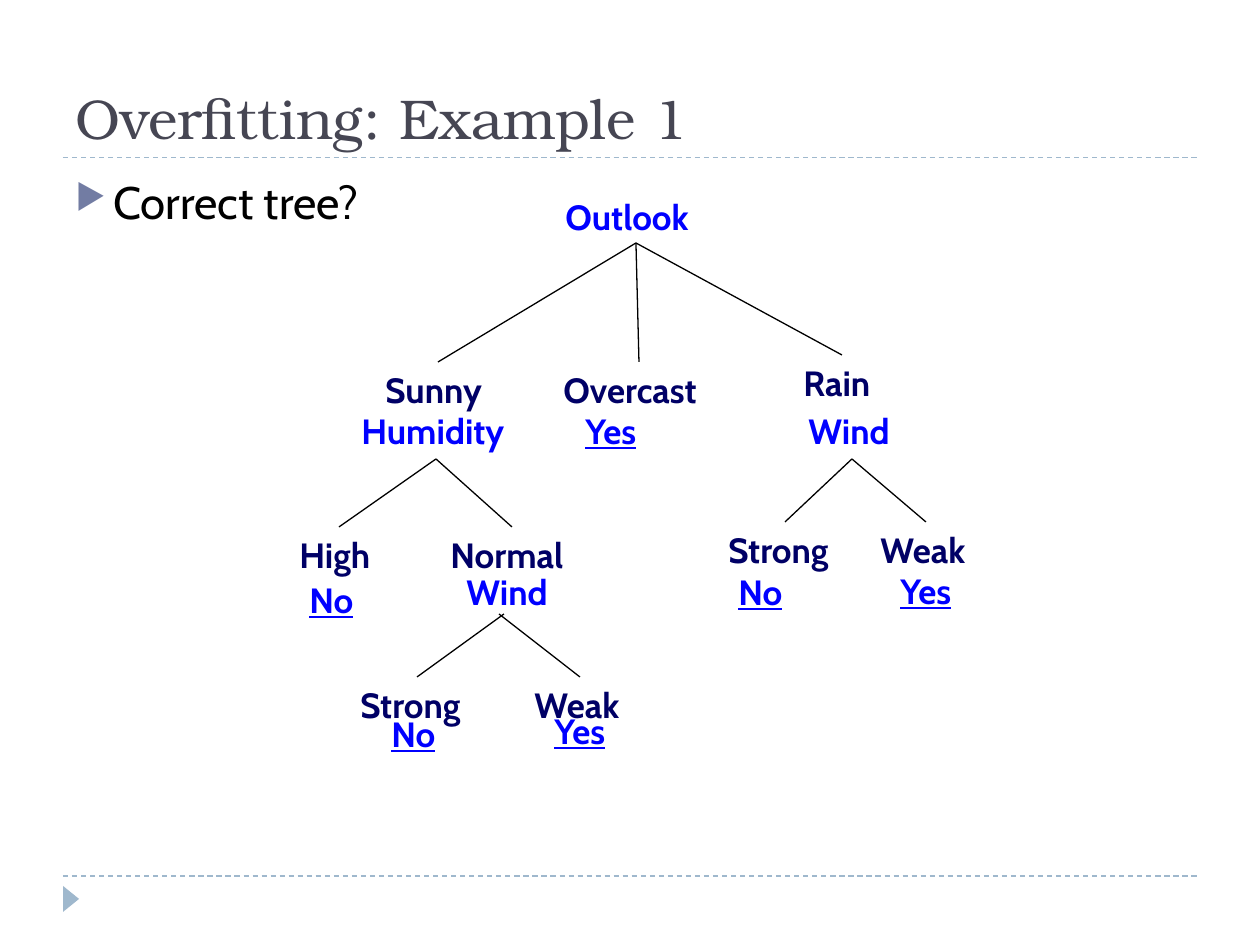
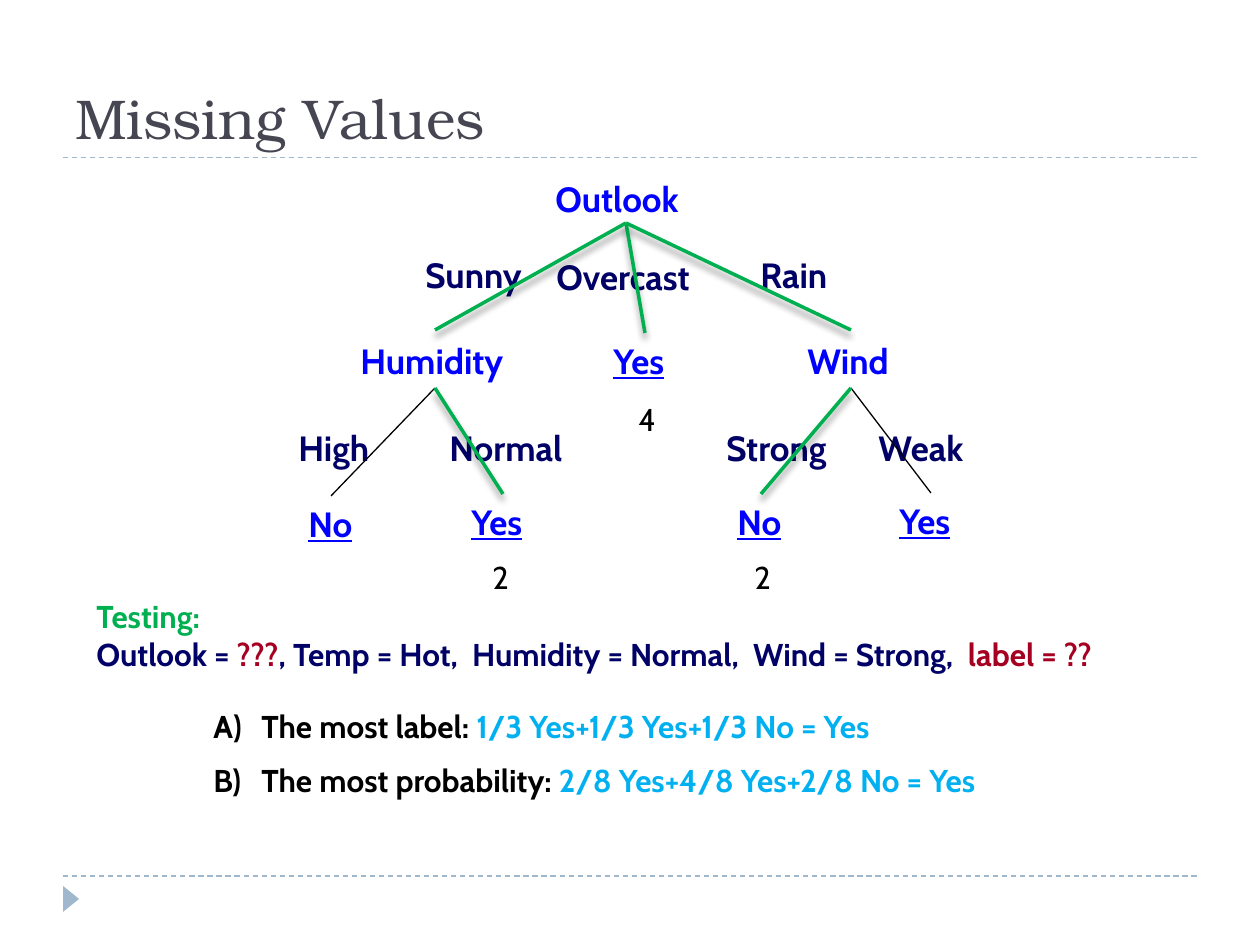
from lxml.etree import SubElement
from pptx import Presentation
from pptx.dml.color import RGBColor
from pptx.enum.dml import MSO_LINE
from pptx.enum.shapes import MSO_CONNECTOR, MSO_SHAPE
from pptx.enum.text import MSO_ANCHOR, MSO_AUTO_SIZE
from pptx.oxml.ns import qn
from pptx.util import Emu, Inches, Pt

PX = Inches(1) // 126
COLORS = {
    "title": "464653", "band": "9FB8CD", "bullet": "727CA3", "text": "000000",
    "node": "0000FF", "branch": "000066", "path": "00B050",
    "unknown": "A50021", "result": "00B0F0",
}
TITLE_FONT, BODY_FONT = "TeX Gyre Bonum", "Cabin"

# Box width of each word in a tree; the dict also gives the word's role.
QUESTIONS = {"Outlook ": 168, "Humidity": 175, "Wind": 111}
ANSWERS = {"Yes": 88, "No": 72}
BRANCHES = {"Overcast": 175, "Rain": 101, "Sunny": 132, "Normal": 146,
            "High": 103, "Weak": 117, "Strong": 139}
WIDTHS = {**QUESTIONS, **ANSWERS, **BRANCHES}

CORRECT_TREE = [
    ("Outlook ", 553, 189),
    ("Sunny", 373, 362), ("Overcast", 551, 362), ("Rain", 791, 355),
    ("Humidity", 349, 403), ("Yes", 573, 403), ("Wind", 796, 403),
    ("High", 287, 527), ("Normal", 438, 527),
    ("Strong", 716, 522), ("Weak", 868, 522),
    ("No", 297, 572), ("Wind", 454, 564), ("No", 726, 564), ("Yes", 888, 563),
    ("Strong", 348, 677), ("Weak", 522, 677), ("No", 379, 706), ("Yes", 542, 703),
]
CORRECT_EDGES = [
    ((636, 243), [(842, 355), (639, 362), (438, 362)]),
    ((436, 459), [(512, 527), (339, 527)]),
    ((852, 459), [(926, 522), (785, 522)]),
    ((499, 614), [(580, 677)]),
    ((504, 614), [(417, 677)]),
]
MISSING_TREE = [
    ("Outlook ", 543, 171),
    ("Sunny", 413, 247), ("Overcast", 544, 249), ("Rain", 748, 247),
    ("Humidity", 348, 333), ("Yes", 601, 333), ("Wind", 795, 333),
    ("High", 286, 420), ("Normal", 437, 420),
    ("Strong", 714, 420), ("Weak", 866, 420),
    ("No", 296, 496), ("Yes", 459, 494), ("No", 725, 494), ("Yes", 887, 493),
]
FOLLOWED_EDGES = [
    ((626, 223), [(851, 330), (645, 333), (435, 330)]),
    ((435, 388), [(503, 494)]),
    ((851, 388), [(761, 494)]),
]
OTHER_EDGES = [((435, 388), [(331, 496)]), ((851, 388), [(931, 493)])]
COUNTS = [("2", 480, 552), ("4", 626, 394), ("2", 742, 552)]


def px(*values):
    """Turn pixels into EMU."""
    return [Emu(round(v * PX)) for v in values]


def rgb(name):
    """Look up a colour by its name."""
    return RGBColor.from_string(COLORS[name])


def add_text(s, paragraphs, box, size=20, color="text", font=BODY_FONT, bold=False,
             underline=False, wrap=False, grow=True, anchor=MSO_ANCHOR.TOP, before=0):
    """Add a text box; a paragraph is a string or a list of (text, colour) runs."""
    sp = s.shapes.add_textbox(*px(*box))
    tf = sp.text_frame
    tf.word_wrap = wrap
    tf.auto_size = MSO_AUTO_SIZE.SHAPE_TO_FIT_TEXT if grow else MSO_AUTO_SIZE.NONE
    tf.vertical_anchor = anchor
    for i, runs in enumerate(paragraphs):
        p = tf.add_paragraph() if i else tf.paragraphs[0]
        p.space_before = Pt(before)
        for text, name in [(runs, color)] if isinstance(runs, str) else runs:
            r = p.add_run()
            r.text = text
            r.font.name, r.font.size = font, Pt(size)
            r.font.bold, r.font.underline = bold, underline
            r.font.color.rgb = rgb(name)
    return sp


def add_bullets(sp, left, hanging, char=None):
    """Give paragraphs a coloured bullet character, or A) B) when there is none."""
    for p in sp.text_frame.paragraphs:
        pPr = p._p.get_or_add_pPr()
        margin, indent = px(left, -hanging)
        pPr.set("marL", str(margin))
        pPr.set("indent", str(indent))
        if char:
            color = SubElement(pPr, qn("a:buClr"))
            SubElement(color, qn("a:srgbClr"), val=COLORS["bullet"])
            SubElement(pPr, qn("a:buSzPct"), val="76000")
            SubElement(pPr, qn("a:buChar"), char=char)
        else:
            SubElement(pPr, qn("a:buAutoNum"), type="alphaUcParenR")


def add_line(s, start, end, color="text", width=0.75, dash=None, shadow=False):
    """Add a straight line, with a soft shadow below it if asked."""
    sp = s.shapes.add_connector(MSO_CONNECTOR.STRAIGHT, *px(*start, *end))
    sp.line.color.rgb = rgb(color)
    sp.line.width = Pt(width)
    if dash:
        sp.line.dash_style = dash
    effects = SubElement(sp._element.spPr, qn("a:effectLst"))
    if shadow:
        outer = SubElement(effects, qn("a:outerShdw"), blurRad=str(Pt(4)),
                           dist=str(Pt(3.4)), dir="5400000", rotWithShape="0")
        black = SubElement(outer, qn("a:srgbClr"), val=COLORS["text"])
        SubElement(black, qn("a:alpha"), val="40000")


def add_labels(s, labels):
    """Place the words of a tree, each formatted by its role."""
    for word, x, y in labels:
        add_text(s, [word], (x, y, WIDTHS[word], 54), bold=True,
                 color="branch" if word in BRANCHES else "node",
                 underline=word in ANSWERS)


def add_edges(s, edges, **style):
    """Draw lines from each parent point to its children."""
    for parent, children in edges:
        for child in children:
            add_line(s, parent, child, **style)


def add_slide(prs, title):
    """Start a slide with the dashed rules, the corner marker and the title."""
    s = prs.slides.add_slide(prs.slide_layouts[6])
    for y in (876, 157.5):
        add_line(s, (63, y), (1197, y), color="band", dash=MSO_LINE.DASH)
    marker = s.shapes.add_shape(MSO_SHAPE.ISOSCELES_TRIANGLE, *px(58, 891, 26, 16))
    marker.rotation = 90
    marker.shadow.inherit = False
    marker.fill.solid()
    marker.fill.fore_color.rgb = rgb("band")
    marker.line.fill.background()
    add_text(s, [title], (63, 21, 1134, 136), size=32, color="title", font=TITLE_FONT,
             wrap=True, grow=False, anchor=MSO_ANCHOR.BOTTOM)
    return s


def overfitting_slide(prs):
    """Build the slide that asks whether the tree is correct."""
    s = add_slide(prs, "Overfitting: Example 1")
    sp = add_text(s, ["Correct tree?"], (63, 168, 1134, 680), size=26,
                  wrap=True, grow=False, before=6)
    add_bullets(sp, 38, 38, char="\u25b6")
    add_labels(s, CORRECT_TREE)
    add_edges(s, CORRECT_EDGES)


def missing_values_slide(prs):
    """Build the slide that classifies a case with an unknown value."""
    s = add_slide(prs, "Missing Values")
    methods = [
        [("The most label: ", "text"), ("1/3 Yes+1/3 Yes+1/3 No = Yes", "result")],
        [("The most probability: ", "text"), ("2/8 Yes+4/8 Yes+2/8 No = Yes", "result")],
    ]
    sp = add_text(s, methods, (147, 701, 1092, 165), size=18, bold=True,
                  wrap=True, before=9)
    add_bullets(sp, 102, 48)
    add_labels(s, MISSING_TREE)
    add_edges(s, OTHER_EDGES)
    add_edges(s, FOLLOWED_EDGES, color="path", width=2, shadow=True)
    testing = [
        [("Testing:", "path")],
        [("Outlook = ", "branch"), ("???", "unknown"),
         (", Temp = Hot,  Humidity = Normal,  Wind = Strong,  ", "branch"),
         ("label = ??", "unknown")],
    ]
    add_text(s, testing, (84, 591, 1116, 89), size=18, bold=True)
    for count, x, y in COUNTS:
        add_text(s, [count], (x, y, 42, 50), size=18)


def main():
    """Build and save the presentation."""
    prs = Presentation()
    prs.slide_width, prs.slide_height = Inches(10), Inches(7.5)
    overfitting_slide(prs)
    missing_values_slide(prs)
    prs.save("out.pptx")


main()
